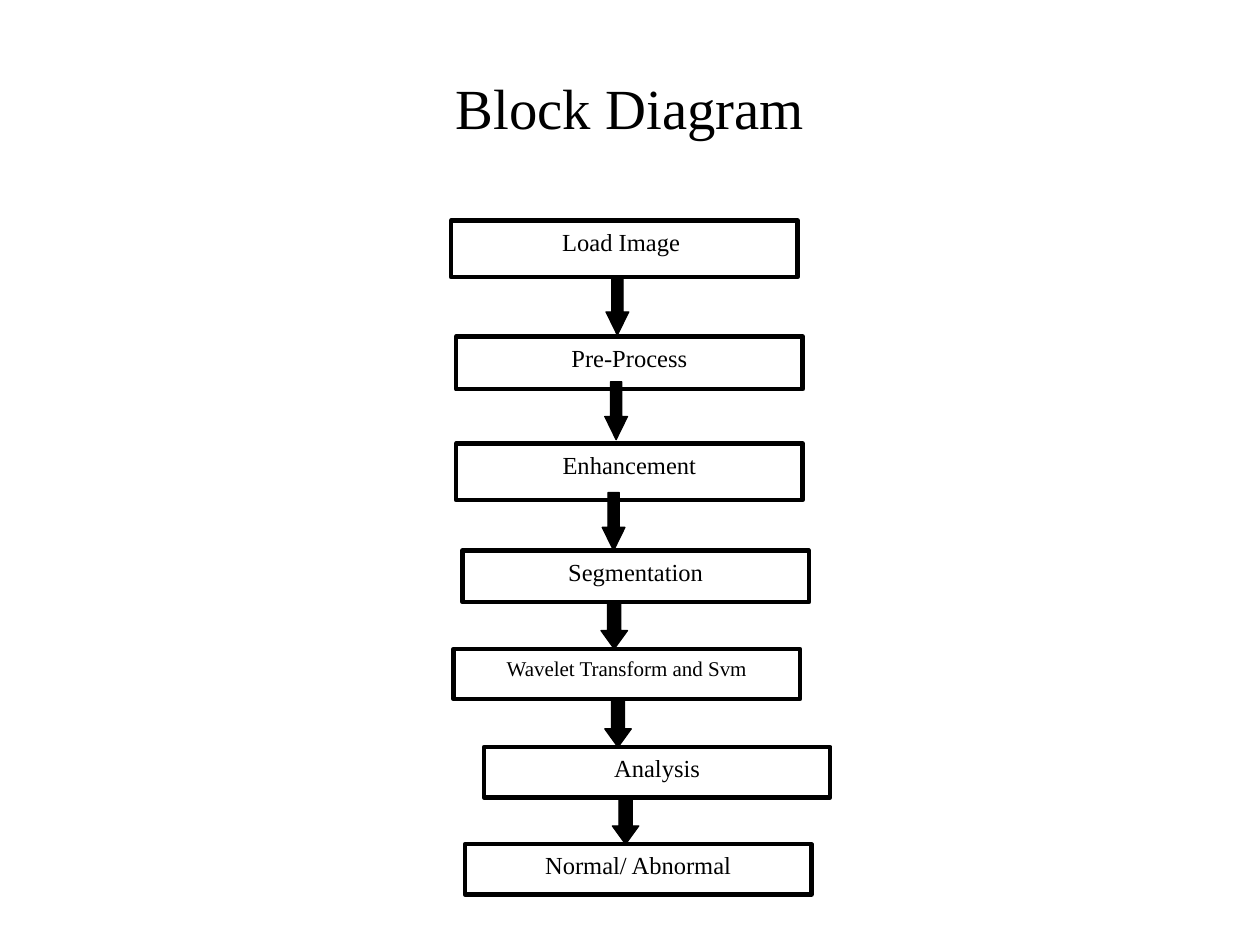
from pptx import Presentation
from pptx.dml.color import RGBColor
from pptx.enum.shapes import MSO_SHAPE as Shape
from pptx.enum.text import MSO_ANCHOR as Anchor, PP_ALIGN as Align
from pptx.util import Inches, Pt

COLORS = {"ink": "000000", "paper": "FFFFFF"}
FONT = "Times New Roman"
TITLE = "Block Diagram"
STEP_WIDTH = 2.75

# text, left, top, height, text size
STEPS = [
    ("Load Image ", 3.58, 1.75, 0.45, 14),
    ("Pre-Process", 3.62, 2.67, 0.42, 14),
    ("Enhancement", 3.62, 3.52, 0.45, 14),
    ("Segmentation", 3.67, 4.37, 0.41, 14),
    ("Wavelet Transform and Svm", 3.6, 5.15, 0.4, 12),
    ("Analysis", 3.84, 5.93, 0.4, 14),
    ("Normal/ Abnormal", 3.69, 6.7, 0.4, 14),
]

# width, height, length of the head relative to the width
SLIM = (0.18, 0.46, 1.02)
WIDE = (0.21, 0.37, 0.69)
# left, top, style
ARROWS = [
    (4.81, 2.2, SLIM),
    (4.8, 3.03, SLIM),
    (4.78, 3.91, SLIM),
    (4.77, 4.78, WIDE),
    (4.8, 5.56, WIDE),
    (4.86, 6.33, WIDE),
]


def color(name):
    return RGBColor.from_string(COLORS[name])


def write(box, text, size, anchor=Anchor.TOP, space_after=0):
    frame = box.text_frame
    frame.word_wrap = True
    frame.vertical_anchor = anchor
    para = frame.paragraphs[0]
    para.alignment = Align.CENTER
    para.space_after = Pt(space_after)
    span = para.add_run()
    span.text = text
    span.font.name = FONT
    span.font.size = Pt(size)
    span.font.color.rgb = color("ink")


def add_block(page, kind, bounds, fill, line_width):
    block = page.shapes.add_shape(kind, *map(Inches, bounds))
    block.shadow.inherit = False
    block.fill.solid()
    block.fill.fore_color.rgb = color(fill)
    block.line.color.rgb = color("ink")
    block.line.width = Pt(line_width)
    return block


def main():
    deck = Presentation()
    deck.slide_width, deck.slide_height = Inches(10), Inches(7.5)
    page = deck.slides.add_slide(deck.slide_layouts[6])

    title = page.shapes.add_textbox(*map(Inches, (0.5, 0.5, 9, 0.7)))
    write(title, TITLE, 32.4, anchor=Anchor.MIDDLE)

    for text, left, top, height, size in STEPS:
        bounds = (left, top, STEP_WIDTH, height)
        step = add_block(page, Shape.RECTANGLE, bounds, "paper", 2.5)
        write(step, text, size, space_after=10)

    for left, top, (width, height, head) in ARROWS:
        bounds = (left, top, width, height)
        arrow = add_block(page, Shape.DOWN_ARROW, bounds, "ink", 0.75)
        arrow.adjustments[0] = 0.5
        arrow.adjustments[1] = head

    deck.save("out.pptx")


if __name__ == "__main__":
    main()
